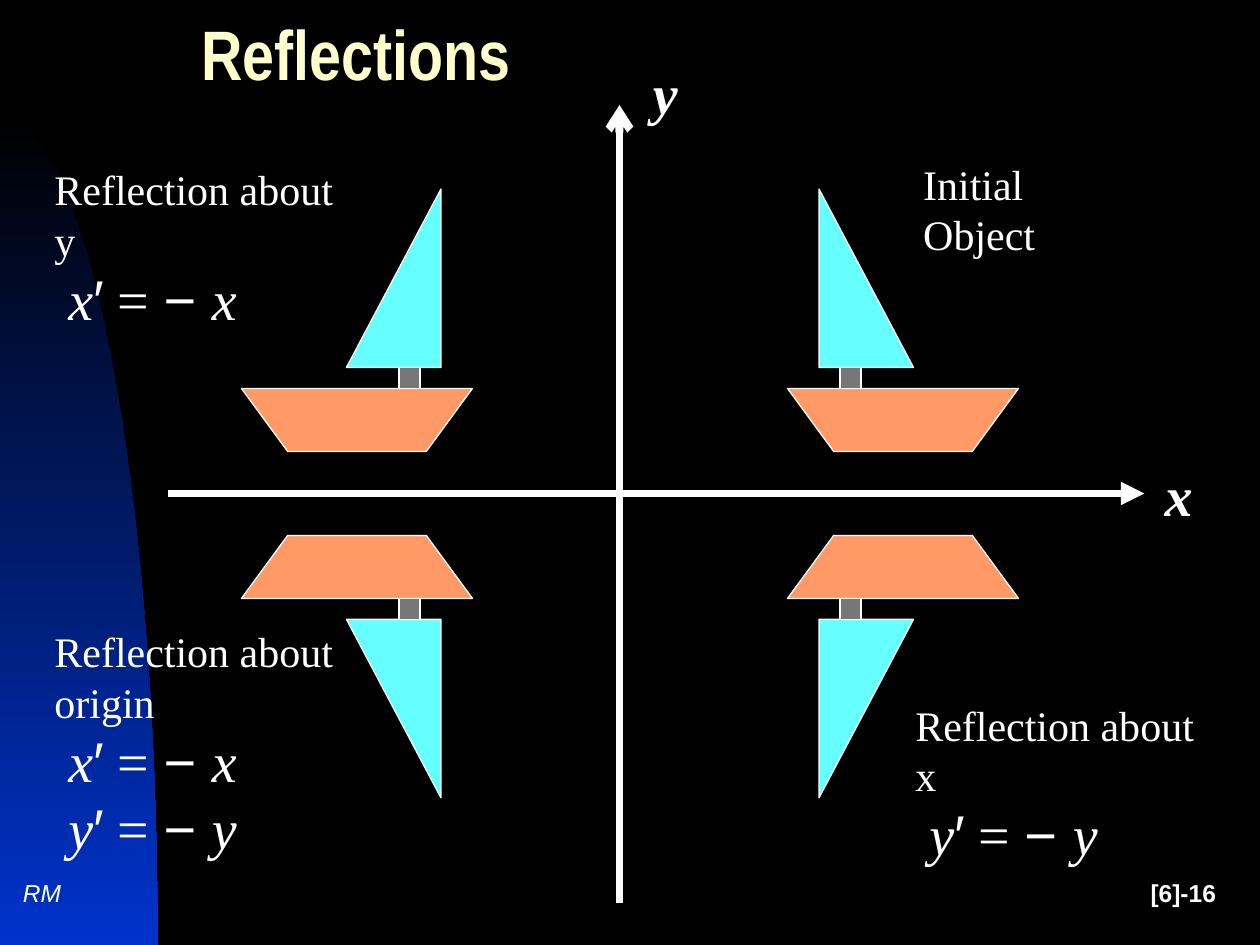
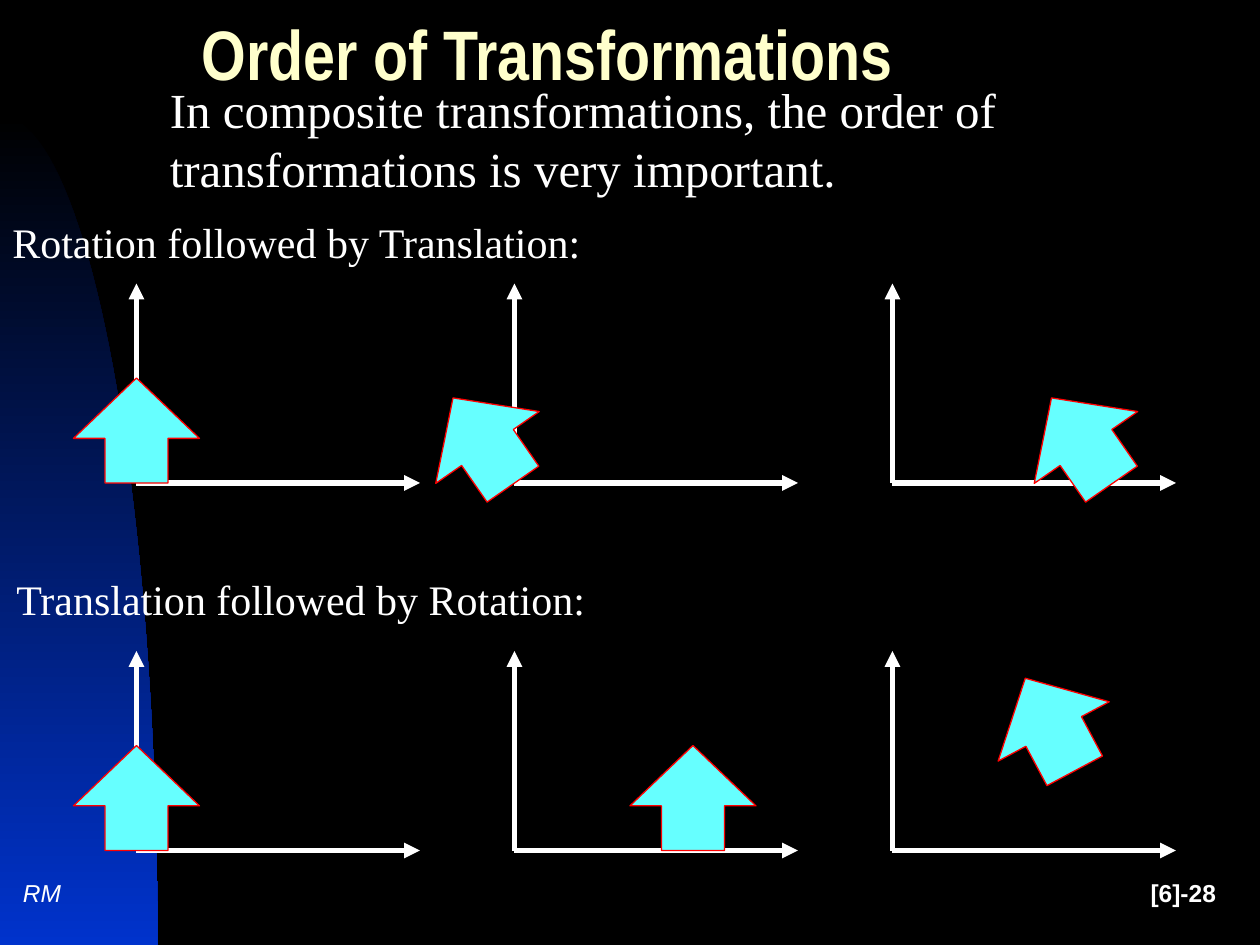
"""Build two slides on reflections and on the order of transformations."""
import math
from lxml import etree
from pptx import Presentation
from pptx import util as u
from pptx.dml.color import RGBColor
from pptx.enum import shapes, text
from pptx.oxml.ns import qn

PX = 9525
hue = RGBColor.from_string
BLACK, WHITE, CREAM, BLUE = "000000", "FFFFFF", "FFFFCC", "0033CC"
CYAN, ORANGE, GRAY, RED = "66FFFF", "FF9966", "777777", "FF0000"
SERIF, SANS, NARROW = "Times New Roman", "Arial", "Arial Narrow"


def add_text(page, place, lines, size, face=SERIF, bold=False, italic=False, wrap=False):
    """Add white text, one paragraph a line, and return its frame."""
    frame = page.shapes.add_textbox(*[n * PX for n in place]).text_frame
    frame.word_wrap = wrap
    frame.auto_size = text.MSO_AUTO_SIZE.SHAPE_TO_FIT_TEXT
    frame.text = "\n".join(lines)
    for para in frame.paragraphs:
        para.font.name, para.font.size = face, u.Pt(size)
        para.font.bold, para.font.italic = bold, italic
        para.font.color.rgb = hue(WHITE)
    return frame


def add_axis(page, start, end, width, head="triangle"):
    """Add a white line with an arrowhead at its end."""
    ends = [n * PX for n in (*start, *end)]
    axis = page.shapes.add_connector(shapes.MSO_CONNECTOR.STRAIGHT, *ends)
    axis.line.color.rgb = hue(WHITE)
    axis.line.width = u.Pt(width)
    properties = axis.element.spPr
    etree.SubElement(properties.get_or_add_ln(), qn("a:tailEnd"), type=head)
    etree.SubElement(properties, qn("a:effectLst"))


deck = Presentation()
deck.slide_width, deck.slide_height = 960 * PX, 720 * PX
master = deck.slide_master
master.background.fill.solid()
master.background.fill.fore_color.rgb = hue(BLACK)

pages = []
for heading, number in (("Reflections", "[6]-16"), ("Order of Transformations", "[6]-28")):
    page = deck.slides.add_slide(deck.slide_layouts[5])
    pages.append(page)
    title = page.shapes.title
    title.left, title.top, title.width, title.height = [n * PX for n in (144, 0, 792, 96)]
    frame = title.text_frame
    frame.text = heading
    frame.auto_size = text.MSO_AUTO_SIZE.NONE
    frame.vertical_anchor = text.MSO_ANCHOR.MIDDLE
    para = frame.paragraphs[0]
    para.alignment, para.line_spacing = text.PP_ALIGN.LEFT, 0.7
    para.font.name, para.font.size, para.font.bold = NARROW, u.Pt(40), True
    para.font.color.rgb = hue(CREAM)

    page_number = add_text(page, (736, 656, 200, 48), [number], 14, SANS, bold=True)
    page_number.paragraphs[0].alignment = text.PP_ALIGN.RIGHT
    initials = add_text(page, (8, 656, 56, 48), ["RM"], 14, SANS, italic=True, wrap=True)
    for footer in (page_number, initials):
        footer.auto_size = text.MSO_AUTO_SIZE.NONE
        footer.vertical_anchor = text.MSO_ANCHOR.MIDDLE

reflections, order = pages

angles = [math.radians(degree) for degree in range(0, 91, 2)]
curve = [(round(120 * PX * math.sin(a)), round((720 - 632 * math.cos(a)) * PX)) for a in angles]
builder = reflections.shapes.build_freeform(*curve[0])
builder.add_line_segments(curve[1:] + [(0, 720 * PX)], close=True)
band = builder.convert_to_shape()
band.shadow.inherit = False
band.line.fill.background()
band.fill.gradient()
band.fill.gradient_angle = 270
for stop, position, colour in zip(band.fill.gradient_stops, (0, 1), (BLACK, BLUE)):
    stop.position = position
    stop.color.rgb = hue(colour)
master.element.cSld.spTree.insert(2, band.element)

add_axis(reflections, (128, 376), (872, 376), 4.5)
add_axis(reflections, (472, 688), (472, 80), 4.5, "arrow")

MIRROR_X, MIRROR_Y = 480, 376
boat_parts = (
    (shapes.MSO_SHAPE.FLOWCHART_MANUAL_OPERATION, 600, 296, 176, 48, ORANGE),
    (shapes.MSO_SHAPE.RIGHT_TRIANGLE, 624, 144, 72, 136, CYAN),
    (shapes.MSO_SHAPE.RECTANGLE, 640, 280, 16, 16, GRAY),
)
for flip_x, flip_y in ((False, False), (True, False), (True, True), (False, True)):
    boat = reflections.shapes.add_group_shape()
    for preset, x, y, width, height, colour in boat_parts:
        left = 2 * MIRROR_X - x - width if flip_x else x
        top = 2 * MIRROR_Y - y - height if flip_y else y
        part = boat.shapes.add_shape(preset, left * PX, top * PX, width * PX, height * PX)
        part.element.spPr.xfrm.flipH = flip_x
        part.element.spPr.xfrm.flipV = flip_y
        part.shadow.inherit = False
        part.fill.solid()
        part.fill.fore_color.rgb = hue(colour)
        part.line.color.rgb = hue(WHITE)
        part.line.width = u.Pt(0.75)

labels = (
    ((694, 116, 105, 86), ["Initial", "Object"], ""),
    ((688, 528, 255, 100), ["Reflection about x"], "y"),
    ((32, 472, 255, 189), ["Reflection about", "origin"], "xy"),
    ((32, 120, 255, 100), ["Reflection about y"], "x"),
)
for place, lines, negated in labels:
    frame = add_text(reflections, place, lines, 24)
    for name in negated:
        para = frame.add_paragraph()
        para.font.size = u.Pt(32)
        para.font.color.rgb = hue(WHITE)
        for piece, face, italic in ((" " + name, SERIF, True), ("′", SANS, False),
                                    (" = ", SERIF, False), ("− ", SANS, False),
                                    (name, SERIF, True)):
            span = para.add_run()
            span.text = piece
            span.font.name, span.font.italic = face, italic

for place, name in (((878, 346, 40, 61), "x"), ((488, 40, 46, 61), "y")):
    add_text(reflections, place, [name], 32, bold=True, italic=True)

add_text(order, (120, 56, 688, 100),
         ["In composite transformations, the order of transformations is very important."],
         28, wrap=True)
sequences = (
    ("Rotation followed by Translation:", 0, 160, 368,
     ((56, 288, 0), (320, 296, 325.2), (776, 296, 325.2))),
    ("Translation followed by Rotation:", 3, 432, 648,
     ((56, 568, 0), (480, 568, 0), (752, 512, 331.9))),
)
for caption, caption_left, caption_top, base, arrows in sequences:
    add_text(order, (caption_left, caption_top, 453, 48), [caption], 24)
    for step, (left, top, rotation) in enumerate(arrows):
        origin = 104 + 288 * step
        add_axis(order, (origin, base), (origin + 216, base), 3)
        add_axis(order, (origin, base), (origin, base - 152), 3)
        arrow = order.shapes.add_shape(shapes.MSO_SHAPE.UP_ARROW,
                                       left * PX, top * PX, 96 * PX, 80 * PX)
        arrow.adjustments[0], arrow.adjustments[1] = 0.5, 0.575
        arrow.rotation = rotation
        arrow.shadow.inherit = False
        arrow.fill.solid()
        arrow.fill.fore_color.rgb = hue(CYAN)
        arrow.line.color.rgb = hue(RED)
        arrow.line.width = u.Pt(0.75)

deck.save("out.pptx")
